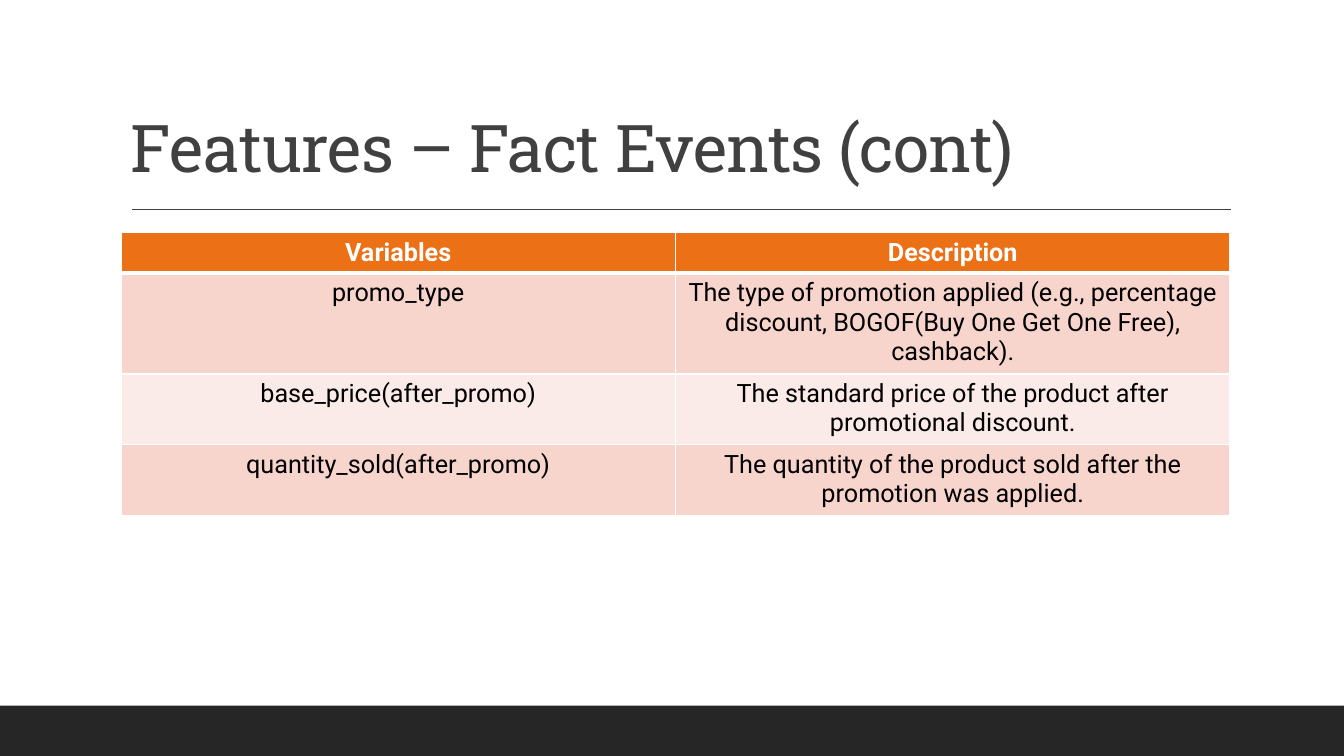
from lxml import etree
from pptx import Presentation
from pptx.dml.color import RGBColor
from pptx.enum import shapes, text
from pptx.oxml.ns import qn
from pptx.util import Inches, Pt

TITLE = "Features – Fact Events (cont)"
HEADINGS = ("Variables", "Description")
# variable, description, lines the description takes
FEATURES = [
    ("promo_type",
     "The type of promotion applied (e.g., percentage discount, "
     "BOGOF(Buy One Get One Free), cashback).", 3),
    ("base_price(after_promo)",
     "The standard price of the product after promotional discount.", 2),
    ("quantity_sold(after_promo)",
     "The quantity of the product sold after the promotion was applied.", 2),
]
COLORS = {
    "footer": "262626", "title": "404040", "header": "EC7016",
    "odd": "F8D5CC", "even": "FBEBE8", "white": "FFFFFF", "body": "000000",
}
LEFT, WIDTH = 1.2, 11
TABLE_TOP = 2.31
CELL_PADDING, LINE_HEIGHT = 0.11, 0.29


def rgb(name):
    return RGBColor.from_string(COLORS[name])


def set_font(paragraph, face, size, color, bold=False):
    font = paragraph.font
    font.name, font.size, font.bold = face, Pt(size), bold
    font.color.rgb = rgb(color)


def add_borders(cell, bottom_width):
    """Give the cell white borders; call before setting its fill."""
    properties = cell._tc.get_or_add_tcPr()
    for side, width in (("L", 1), ("R", 1), ("T", 1), ("B", bottom_width)):
        border = etree.SubElement(properties, qn(f"a:ln{side}"), w=str(Pt(width)))
        fill = etree.SubElement(border, qn("a:solidFill"))
        etree.SubElement(fill, qn("a:srgbClr"), val=COLORS["white"])


def add_footer_band(slide):
    band = slide.shapes.add_shape(shapes.MSO_SHAPE.RECTANGLE, 0, Inches(7),
                                  Inches(13.33), Inches(0.5))
    band.shadow.inherit = False
    band.fill.solid()
    band.fill.fore_color.rgb = rgb("footer")
    band.line.fill.background()


def add_title(slide):
    rule = slide.shapes.add_connector(shapes.MSO_CONNECTOR.STRAIGHT, Inches(1.31),
                                      Inches(2.08), Inches(12.21), Inches(2.08))
    rule.line.color.rgb = rgb("title")
    rule.line.width = Pt(1)
    etree.SubElement(rule._element.spPr, qn("a:effectLst"))

    frame = slide.shapes.add_textbox(Inches(LEFT), Inches(0.31), Inches(WIDTH),
                                     Inches(1.59)).text_frame
    frame.word_wrap = True
    frame.vertical_anchor = text.MSO_ANCHOR.BOTTOM
    heading = frame.paragraphs[0]
    heading.line_spacing = 0.9
    run = heading.add_run()
    run.text = TITLE
    set_font(heading, "Roboto Slab", 47, "title")
    run._r.get_or_add_rPr().set("spc", "-50")


def add_feature_table(slide):
    rows = [(*HEADINGS, 1), *FEATURES]
    heights = [CELL_PADDING + LINE_HEIGHT * lines for *_, lines in rows]
    table = slide.shapes.add_table(len(rows), len(HEADINGS), Inches(LEFT),
                                   Inches(TABLE_TOP), Inches(WIDTH),
                                   Inches(sum(heights))).table
    for r, (*words, _) in enumerate(rows):
        table.rows[r].height = Inches(heights[r])
        is_header = r == 0
        fill = "header" if is_header else "odd" if r % 2 else "even"
        for c, word in enumerate(words):
            cell = table.cell(r, c)
            add_borders(cell, 3 if is_header else 1)
            cell.fill.solid()
            cell.fill.fore_color.rgb = rgb(fill)
            cell.text = word
            paragraph = cell.text_frame.paragraphs[0]
            paragraph.alignment = text.PP_ALIGN.CENTER
            set_font(paragraph, "Roboto", 18, "white" if is_header else "body",
                     is_header)


def main():
    deck = Presentation()
    deck.slide_width, deck.slide_height = Inches(13.33), Inches(7.5)
    slide = deck.slides.add_slide(deck.slide_layouts[6])
    add_footer_band(slide)
    add_title(slide)
    add_feature_table(slide)
    deck.save("out.pptx")


if __name__ == "__main__":
    main()
